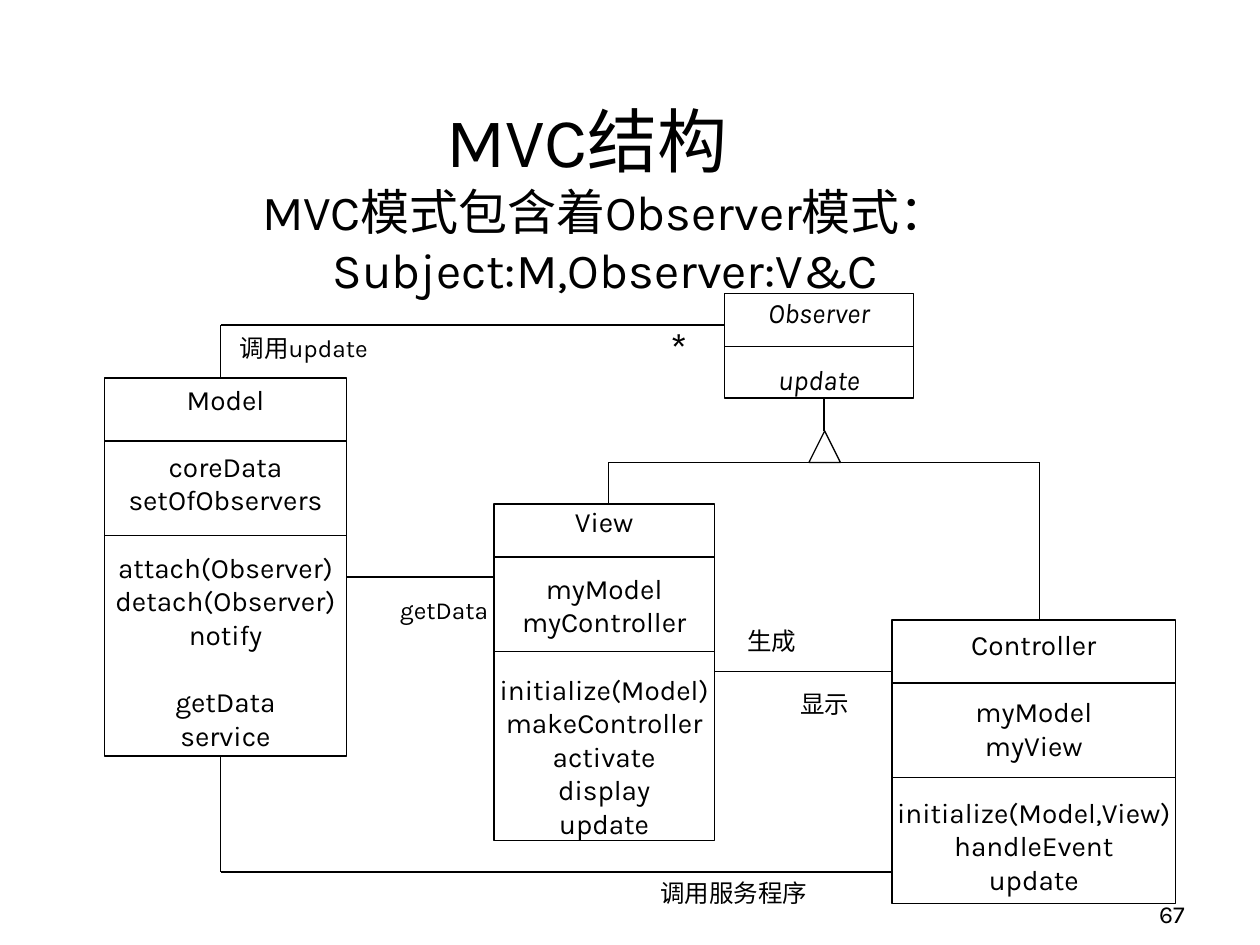
"""Build the slide that shows the class structure of the MVC pattern."""
from dataclasses import dataclass
from itertools import pairwise

from lxml.etree import SubElement
from pptx import Presentation
from pptx.dml.color import RGBColor
from pptx.enum.shapes import MSO_CONNECTOR, MSO_SHAPE
from pptx.enum.text import MSO_ANCHOR, MSO_AUTO_SIZE, PP_ALIGN
from pptx.oxml.ns import qn
from pptx.util import Inches, Pt

BLACK = RGBColor(0x00, 0x00, 0x00)
FONT = "Karla"
LINE_WIDTH = Pt(0.75)
SECTION_GAP = Pt(19.2)

Point = tuple[float, float]


@dataclass(frozen=True)
class ClassBox:
    left: float
    top: float
    width: float
    height: float
    dividers: tuple[float, ...]
    sections: tuple[tuple[str, ...], ...]
    italic: bool = False


@dataclass(frozen=True)
class Label:
    text: str
    left: float
    top: float
    width: float
    height: float = 0.34
    size: int = 14
    align: PP_ALIGN = PP_ALIGN.CENTER
    anchor: MSO_ANCHOR = MSO_ANCHOR.TOP


CLASS_BOXES = (
    ClassBox(5.75, 2.33, 1.5, 0.83, (2.75,), (("Observer",), ("update",)), italic=True),
    ClassBox(0.83, 3, 1.92, 3, (3.5, 4.25), (
        ("Model",),
        ("coreData", "setOfObservers"),
        ("attach(Observer)", "detach(Observer)", "notify"),
        ("getData", "service"),
    )),
    ClassBox(3.92, 4, 1.75, 2.67, (4.42, 5.17), (
        ("View",),
        ("myModel", "myController"),
        ("initialize(Model)", "makeController", "activate", "display", "update"),
    )),
    ClassBox(7.08, 4.92, 2.25, 2.25, (5.42, 6.17), (
        ("Controller",),
        ("myModel", "myView"),
        ("initialize(Model,View)", "handleEvent", "update"),
    )),
)

ROUTES = (
    ((1.75, 6), (1.75, 6.92), (7.08, 6.92)),
    ((5.67, 5.33), (7.08, 5.33)),
    ((2.75, 4.58), (3.92, 4.58)),
    ((4.83, 4), (4.83, 3.67), (8.25, 3.67), (8.25, 4.92)),
    ((6.54, 3.42), (6.54, 3.17)),
    ((1.75, 3), (1.75, 2.58), (5.75, 2.58)),
)

LABELS = (
    Label("*", 5.2, 2.5, 0.38, 0.5, 24),
    Label("调用update", 1.77, 2.59, 1.28),
    Label("getData", 3.06, 4.67, 0.93),
    Label("生成", 5.83, 4.92, 0.59),
    Label("显示", 6.25, 5.42, 0.59),
    Label("调用服务程序", 5.14, 6.92, 1.37),
    Label("67", 7.42, 6.92, 2.08, 0.5, align=PP_ALIGN.RIGHT, anchor=MSO_ANCHOR.BOTTOM),
)

TITLE_LINES = (
    ("MVC结构", 40, 0),
    ("MVC模式包含着Observer模式：", 28, 0.29),
    ("Subject:M,Observer:V&C", 28, 0.29),
)


def set_values(target, values: dict) -> None:
    """Set each named attribute of the target."""
    for name, value in values.items():
        setattr(target, name, value)


def write_line(frame, index: int, text: str, size: int, align=PP_ALIGN.CENTER, italic=False):
    """Write one formatted paragraph and return it."""
    para = frame.paragraphs[0] if index == 0 else frame.add_paragraph()
    para.alignment = align
    span = para.add_run()
    span.text = text
    set_values(span.font, {"name": FONT, "size": Pt(size), "italic": italic})
    span.font.color.rgb = BLACK
    return para


def draw_title(page) -> None:
    """Place the title with its two indented lines."""
    title = page.shapes.title
    set_values(title, {"left": Inches(1.48), "top": Inches(0.72),
                       "width": Inches(6.36), "height": Inches(1.7)})
    frame = title.text_frame
    set_values(frame, {"word_wrap": True, "auto_size": MSO_AUTO_SIZE.NONE,
                       "vertical_anchor": MSO_ANCHOR.TOP})
    for index, (text, size, indent) in enumerate(TITLE_LINES):
        para = write_line(frame, index, text, size)
        if indent:
            para._p.get_or_add_pPr().set("marL", str(Inches(indent)))


def draw_outline(page, preset: MSO_SHAPE, left: float, top: float, width: float, height: float):
    """Draw an unfilled preset shape with a thin black line."""
    shape = page.shapes.add_shape(preset, *map(Inches, (left, top, width, height)))
    shape.shadow.inherit = False
    shape.fill.background()
    shape.line.color.rgb = BLACK
    shape.line.width = LINE_WIDTH
    return shape


def draw_line(page, start: Point, end: Point) -> None:
    """Draw a straight thin line."""
    line = page.shapes.add_connector(MSO_CONNECTOR.STRAIGHT, *map(Inches, (*start, *end)))
    line.line.color.rgb = BLACK
    line.line.width = LINE_WIDTH
    SubElement(line._element.spPr, qn("a:effectLst"))


def draw_class(page, box: ClassBox) -> None:
    """Draw a class box with its sections and dividers."""
    shape = draw_outline(page, MSO_SHAPE.RECTANGLE, box.left, box.top, box.width, box.height)
    frame = shape.text_frame
    set_values(frame, {"word_wrap": False, "vertical_anchor": MSO_ANCHOR.MIDDLE})
    index = 0
    for section in box.sections:
        for position, text in enumerate(section):
            para = write_line(frame, index, text, 16, italic=box.italic)
            if index and position == 0:
                para.space_before = SECTION_GAP
            index += 1
    for height in box.dividers:
        draw_line(page, (box.left, height), (box.left + box.width, height))


def draw_label(page, label: Label) -> None:
    """Draw a single line of free text."""
    area = map(Inches, (label.left, label.top, label.width, label.height))
    frame = page.shapes.add_textbox(*area).text_frame
    set_values(frame, {"word_wrap": label.align == PP_ALIGN.RIGHT,
                       "vertical_anchor": label.anchor})
    write_line(frame, 0, label.text, label.size, label.align)


def main() -> None:
    """Build and save the deck."""
    deck = Presentation()
    set_values(deck, {"slide_width": Inches(10), "slide_height": Inches(7.5)})
    page = deck.slides.add_slide(deck.slide_layouts.get_by_name("Title Only"))
    draw_title(page)
    for box in CLASS_BOXES:
        draw_class(page, box)
    for route in ROUTES:
        for start, end in pairwise(route):
            draw_line(page, start, end)
    draw_outline(page, MSO_SHAPE.FLOWCHART_EXTRACT, 6.42, 3.42, 0.25, 0.25)
    for label in LABELS:
        draw_label(page, label)
    deck.save("out.pptx")


if __name__ == "__main__":
    main()
